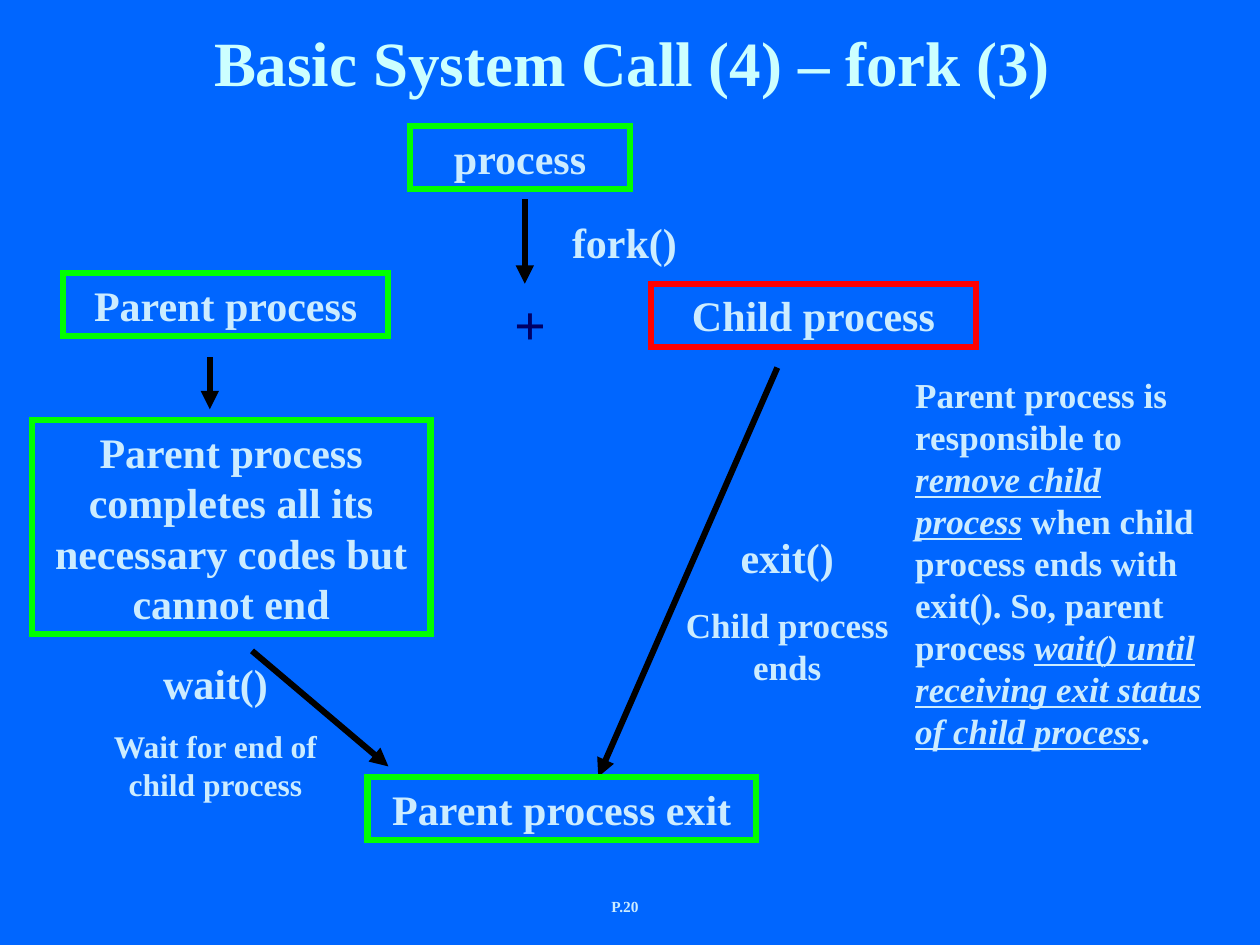
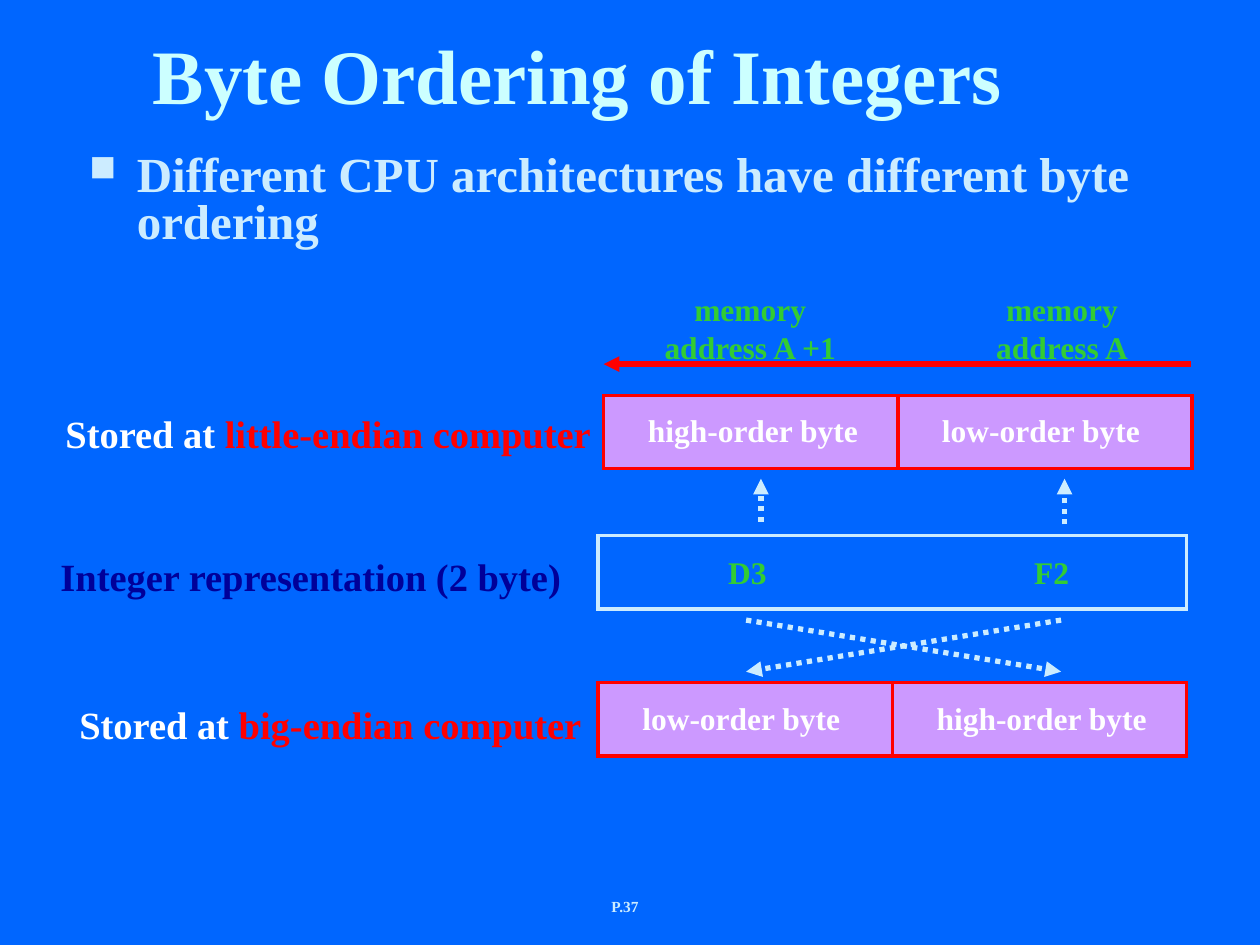
"""Build two system programming slides: fork flow and integer byte ordering."""
from dataclasses import dataclass
from typing import Optional

from lxml.etree import SubElement
from pptx import Presentation
from pptx.dml.color import RGBColor
from pptx.enum.dml import MSO_LINE
from pptx.enum.shapes import MSO_CONNECTOR, MSO_SHAPE
from pptx.enum.text import MSO_ANCHOR, PP_ALIGN
from pptx.oxml.ns import qn
from pptx.slide import Slide
from pptx.util import Cm, Pt

BACKGROUND = RGBColor(0x00, 0x66, 0xFF)
TITLE = RGBColor(0xCC, 0xFF, 0xFF)
PALE = RGBColor(0xCC, 0xEC, 0xFF)
LIME = RGBColor(0x00, 0xFF, 0x00)
GREEN = RGBColor(0x33, 0xCC, 0x33)
RED = RGBColor(0xFF, 0x00, 0x00)
BLACK = RGBColor(0x00, 0x00, 0x00)
WHITE = RGBColor(0xFF, 0xFF, 0xFF)
NAVY = RGBColor(0x00, 0x00, 0x66)
INDIGO = RGBColor(0x00, 0x00, 0x99)
LILAC = RGBColor(0xCC, 0x99, 0xFF)

BASE_FONT = {"name": "Times New Roman", "bold": True}
EMPHASIS = {"italic": True, "underline": True}
CELL_W, CELL_H = 5.93, 1.48
BYTE_LABEL_W = {"high-order byte": 4.75, "low-order byte": 4.5}


@dataclass(frozen=True)
class Area:
    """Position and size in centimetres."""
    x: float
    y: float
    w: float
    h: float

    def lengths(self) -> tuple:
        """Return the four values as lengths."""
        return Cm(self.x), Cm(self.y), Cm(self.w), Cm(self.h)


@dataclass(frozen=True)
class Run:
    """A piece of text in one format."""
    text: str
    size: float = 24
    color: RGBColor = PALE
    emphasis: bool = False


@dataclass(frozen=True)
class Para:
    """Runs of one paragraph with the space before it."""
    runs: tuple[Run, ...]
    before: float = 0


@dataclass(frozen=True)
class Label:
    """A text box."""
    area: Area
    paras: tuple[Para, ...]
    align: PP_ALIGN = PP_ALIGN.CENTER
    wrap: bool = True
    anchor: MSO_ANCHOR = MSO_ANCHOR.TOP


@dataclass(frozen=True)
class Box:
    """A bordered rectangle with optional fill and text."""
    area: Area
    line: RGBColor
    width: float = 3.5
    fill: Optional[RGBColor] = None
    text: str = ""


@dataclass(frozen=True)
class Arrow:
    """A straight arrow from (x1, y1) to (x2, y2)."""
    x1: float
    y1: float
    x2: float
    y2: float
    color: RGBColor = BLACK
    width: float = 3.5
    dotted: bool = False


def one(text: str, size: float = 24, color: RGBColor = PALE) -> tuple[Para, ...]:
    """Return a single paragraph holding a single run."""
    return (Para((Run(text, size, color),)),)


def write(tf, paras: tuple[Para, ...], align: PP_ALIGN) -> None:
    """Write formatted paragraphs into a text frame."""
    for i, para in enumerate(paras):
        p = tf.paragraphs[0] if i == 0 else tf.add_paragraph()
        p.alignment = align
        if para.before:
            p.space_before = Pt(para.before)
        for run in para.runs:
            for n, line in enumerate(run.text.split("\n")):
                if n:
                    p.add_line_break()
                r = p.add_run()
                r.text = line
                style = {**BASE_FONT, "size": Pt(run.size), **(EMPHASIS if run.emphasis else {})}
                for key, value in style.items():
                    setattr(r.font, key, value)
                r.font.color.rgb = run.color


def draw_label(s: Slide, label: Label):
    """Draw a text box and return its text frame."""
    tf = s.shapes.add_textbox(*label.area.lengths()).text_frame
    tf.word_wrap = label.wrap
    tf.vertical_anchor = label.anchor
    write(tf, label.paras, label.align)
    return tf


def draw_box(s: Slide, box: Box) -> None:
    """Draw a rectangle with sharp corners."""
    sp = s.shapes.add_shape(MSO_SHAPE.RECTANGLE, *box.area.lengths())
    sp.shadow.inherit = False
    sp.line.color.rgb = box.line
    sp.line.width = Pt(box.width)
    SubElement(sp._element.spPr.find(qn("a:ln")), qn("a:miter"), lim="800000")
    if box.fill is None:
        sp.fill.background()
    else:
        sp.fill.solid()
        sp.fill.fore_color.rgb = box.fill
    if box.text:
        tf = sp.text_frame
        tf.word_wrap = True
        tf.vertical_anchor = MSO_ANCHOR.TOP
        write(tf, one(box.text), PP_ALIGN.CENTER)


def draw_arrow(s: Slide, arrow: Arrow) -> None:
    """Draw a connector with a triangle at its end."""
    sp = s.shapes.add_connector(MSO_CONNECTOR.STRAIGHT, Cm(arrow.x1), Cm(arrow.y1),
                                Cm(arrow.x2), Cm(arrow.y2))
    sp.line.color.rgb = arrow.color
    sp.line.width = Pt(arrow.width)
    if arrow.dotted:
        sp.line.dash_style = MSO_LINE.ROUND_DOT
    props = sp._element.spPr
    SubElement(props.find(qn("a:ln")), qn("a:tailEnd"), type="triangle")
    SubElement(props, qn("a:effectLst"))


def draw(s: Slide, items: tuple) -> None:
    """Draw every item in order with the function for its kind."""
    painters = {Label: draw_label, Box: draw_box, Arrow: draw_arrow}
    for item in items:
        painters[type(item)](s, item)


def new_slide(prs, title: Label, page: int) -> Slide:
    """Add a blank slide with its title and page number."""
    s = prs.slides.add_slide(prs.slide_layouts[6])
    draw(s, (Label(Area(9.96, 17.96, 5.28, 0.64), one(f"P.{page}", 8.8)), title))
    return s


def draw_bullet(s: Slide, area: Area, text: str) -> None:
    """Draw a bulleted statement with a hanging indent."""
    p = draw_label(s, Label(area, one(text, 28), PP_ALIGN.LEFT)).paragraphs[0]
    p.line_spacing = 0.8
    props = p._p.get_or_add_pPr()
    props.set("marL", str(Cm(0.96)))
    props.set("indent", str(-Cm(0.96)))
    SubElement(SubElement(props, qn("a:buClr")), qn("a:srgbClr"), val=str(PALE))
    SubElement(props, qn("a:buSzPct"), val="75000")
    SubElement(props, qn("a:buChar"), char="■")


def draw_byte_pair(s: Slide, x: float, y: float, names: tuple[str, str]) -> None:
    """Draw two adjacent memory cells and their labels."""
    lefts = [x + i * CELL_W for i in range(2)]
    for left in lefts:
        draw_box(s, Box(Area(left, y, CELL_W, CELL_H), RED, 2, LILAC))
    for left, name in zip(lefts, names):
        area = Area(left + 0.64, y + 0.2, BYTE_LABEL_W[name], 1.02)
        draw_label(s, Label(area, one(name, 18, WHITE), PP_ALIGN.LEFT, wrap=False))


def stored_at(area: Area, order: str) -> Label:
    """Return the row label for a byte order."""
    runs = (Run("Stored at", 22, WHITE), Run(f" {order} computer", 22, RED))
    return Label(area, (Para(runs),), PP_ALIGN.LEFT)


def build_fork(prs) -> None:
    """Build the fork flow slide."""
    title = Label(Area(0.68, 0.66, 24.13, 1.47),
                  one("Basic System Call (4) – fork (3)", 36, TITLE), anchor=MSO_ANCHOR.BOTTOM)
    s = new_slide(prs, title, 20)
    duty = (Run("Parent process is responsible to ", 20),
            Run("remove child process", 20, emphasis=True),
            Run(" when child process ends with exit(). So, parent process ", 20),
            Run("wait() until receiving exit status of child process", 20, emphasis=True),
            Run(".", 20))
    draw(s, (
        Box(Area(8.26, 2.54, 4.45, 1.27), LIME, text="process"),
        Arrow(10.58, 4.02, 10.58, 5.72),
        Label(Area(11, 4.23, 3.18, 1.27), one("fork()")),
        Box(Area(1.27, 5.5, 6.56, 1.27), LIME, text="Parent process"),
        Label(Area(9.53, 5.72, 2.33, 1.62), one("+", 32, NAVY)),
        Box(Area(13.12, 5.72, 6.56, 1.27), RED, text="Child process"),
        Arrow(15.67, 7.41, 12.06, 15.66),
        Box(Area(7.41, 15.66, 7.83, 1.27), LIME, text="Parent process exit"),
        Box(Area(0.64, 8.47, 8.04, 4.32), LIME,
            text="Parent process completes all its necessary codes but cannot end"),
        Arrow(4.23, 7.2, 4.23, 8.25),
        Arrow(5.08, 13.12, 7.83, 15.45),
        Label(Area(13.12, 10.58, 5.5, 3.4),
              one("exit()") + (Para((Run("Child process ends", 20),), 12.5),)),
        Label(Area(1.7, 13.12, 5.29, 3.2),
              one("wait()") + (Para((Run("Wait for end of child process", 18),), 11.2),)),
        Label(Area(18.2, 7.41, 6.56, 7.87), (Para(duty),), PP_ALIGN.LEFT),
    ))


def build_byte_order(prs) -> None:
    """Build the byte ordering slide."""
    title = Label(Area(0.85, 0.44, 21.59, 2.54), one("Byte Ordering of Integers", 44, TITLE))
    s = new_slide(prs, title, 37)
    draw_bullet(s, Area(1.55, 3, 23.19, 2.31),
                "Different CPU architectures have different byte ordering")
    draw_box(s, Box(Area(12.06, 10.8, 2 * CELL_W, CELL_H), PALE, 2))
    draw_byte_pair(s, 12.17, 7.97, ("high-order byte", "low-order byte"))
    draw_byte_pair(s, 12.06, 13.76, ("low-order byte", "high-order byte"))
    dots = {"color": PALE, "width": 3, "dotted": True}
    draw(s, (
        Arrow(24, 7.34, 12.17, 7.34, RED, 3),
        Label(Area(19.81, 5.72, 3.2, 1.78), one("memory\naddress A", 18, GREEN), wrap=False),
        Label(Area(12.98, 5.72, 4.29, 1.78), one("memory\naddress A +1", 18, GREEN)),
        stored_at(Area(1.07, 8.15, 11.35, 1.17), "little-endian"),
        Arrow(21.46, 10.57, 21.46, 9.65, **dots),
        Arrow(15.34, 10.52, 15.34, 9.65, **dots),
        stored_at(Area(1.35, 14, 11.35, 1.17), "big-endian"),
        Arrow(21.39, 12.5, 15.04, 13.54, **dots),
        Arrow(15.04, 12.5, 21.39, 13.54, **dots),
        Label(Area(14.43, 11.02, 1.4, 1.02), one("D3", 18, GREEN), PP_ALIGN.LEFT, wrap=False),
        Label(Area(20.6, 11.02, 1.4, 1.02), one("F2", 18, GREEN), PP_ALIGN.LEFT, wrap=False),
        Label(Area(0.97, 11.02, 12.12, 1.17),
              one("Integer representation (2 byte)", 22, INDIGO), PP_ALIGN.LEFT),
    ))


def main() -> None:
    """Build and save the presentation."""
    prs = Presentation()
    prs.slide_width, prs.slide_height = Cm(25.4), Cm(19.05)
    fill = prs.slide_master.background.fill
    fill.solid()
    fill.fore_color.rgb = BACKGROUND
    build_fork(prs)
    build_byte_order(prs)
    prs.save("out.pptx")


if __name__ == "__main__":
    main()
